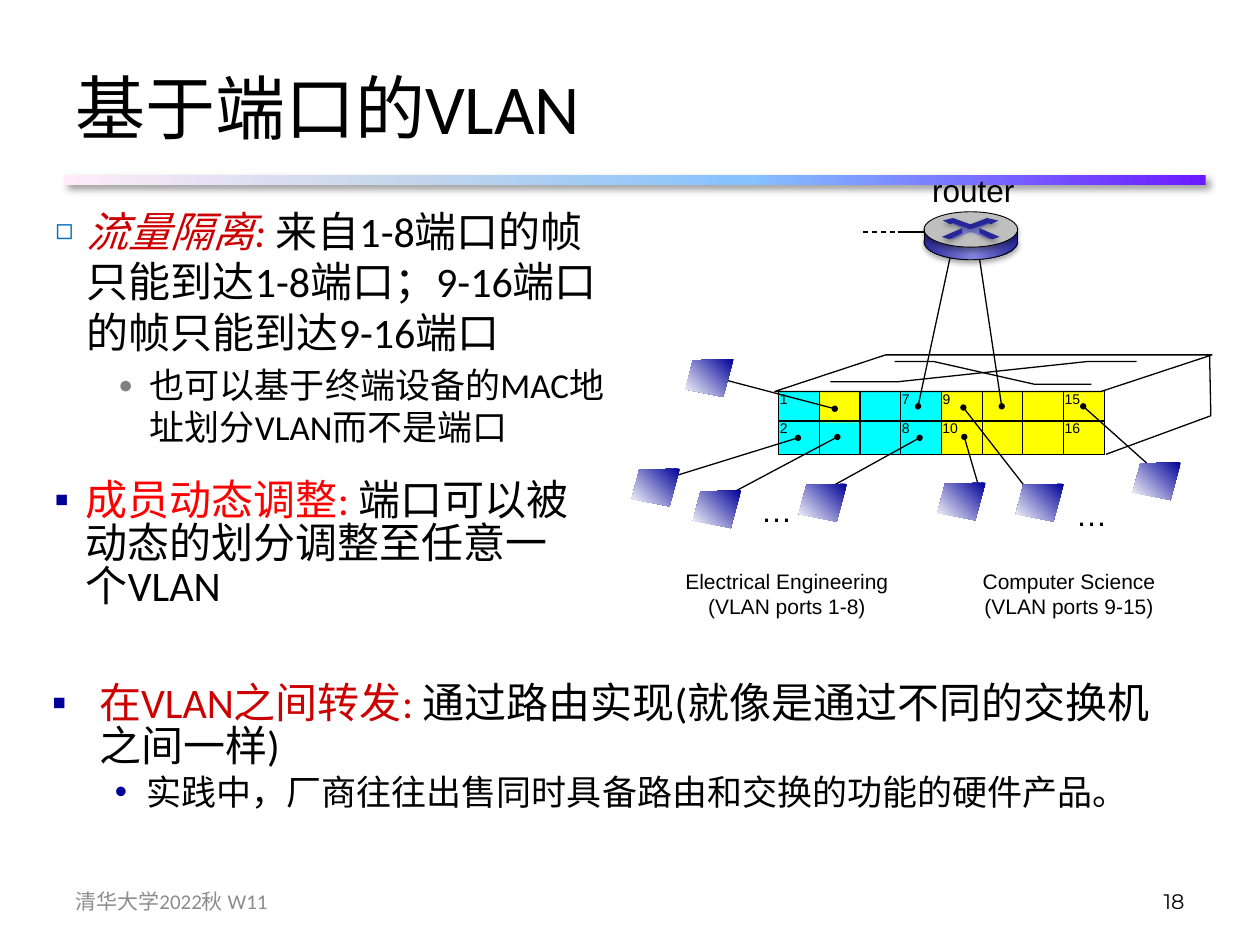
from lxml import etree
from pptx import Presentation
from pptx.dml.color import RGBColor
from pptx.enum import dml, shapes, text
from pptx.oxml import ns
from pptx.util import Pt

BLACK, CYAN, YELLOW, NAVY = "000000", "00FFFF", "FFFF00", "262699"
COLUMN, ROW = 23.25, 18.2  # size of one switch port


def color(hex_value):
    return RGBColor.from_string(hex_value)


def sub(parent, tag, **attributes):
    return etree.SubElement(parent, ns.qn(tag), {k: str(v) for k, v in attributes.items()})


def set_gradient(shape, stops, angle):
    """Stops are (percent, colour); the angle runs clockwise in degrees."""
    shape.fill.gradient()
    gradient = shape.fill._fill._gradFill
    for child in list(gradient):
        gradient.remove(child)
    stop_list = sub(gradient, "a:gsLst")
    for position, hex_value in stops:
        sub(sub(stop_list, "a:gs", pos=position * 1000), "a:srgbClr", val=hex_value)
    sub(gradient, "a:lin", ang=angle * 60000, scaled=0)


def add_shadow(shape, alpha, blur, distance, angle):
    shape.shadow.inherit = False
    effects = shape._element.spPr.find(ns.qn("a:effectLst"))
    outer = sub(effects, "a:outerShdw", blurRad=Pt(blur), dist=Pt(distance),
                dir=angle * 60000, algn="ctr", rotWithShape=0)
    sub(sub(outer, "a:srgbClr", val=BLACK), "a:alpha", val=alpha * 1000)


def style(shape, fill=None, line=None):
    """Fill is a colour, a (stops, angle) pair or None; line is a width or None."""
    shape.shadow.inherit = False
    if isinstance(fill, tuple):
        set_gradient(shape, *fill)
    elif fill:
        shape.fill.solid()
        shape.fill.fore_color.rgb = color(fill)
    else:
        shape.fill.background()
    if line:
        shape.line.color.rgb = color(BLACK)
        shape.line.width = Pt(line)
    else:
        shape.line.fill.background()
    return shape


def add_shape(slide, kind, box, fill=None, line=None):
    shape = slide.shapes.add_shape(getattr(shapes.MSO_SHAPE, kind), *map(Pt, box))
    return style(shape, fill, line)


def add_outline(slide, left, top, points, fill=None, line=None):
    corners = [(Pt(left + x), Pt(top + y)) for x, y in points]
    builder = slide.shapes.build_freeform(*corners[0], scale=1.0)
    builder.add_line_segments(corners[1:], close=bool(fill))
    return style(builder.convert_to_shape(), fill, line)


def add_line(slide, x1, y1, x2, y2, width=0.75, dashed=False):
    line = slide.shapes.add_connector(shapes.MSO_CONNECTOR.STRAIGHT, *map(Pt, (x1, y1, x2, y2)))
    line.line.color.rgb = color(BLACK)
    line.line.width = Pt(width)
    if dashed:
        line.line.dash_style = dml.MSO_LINE.DASH
    sub(line._element.spPr, "a:effectLst")


def add_bullet(paragraph, char, hex_value, left, hanging, size=100):
    properties = paragraph._p.get_or_add_pPr()
    properties.set("marL", str(Pt(left)))
    properties.set("indent", str(-Pt(hanging)))
    sub(sub(properties, "a:buClr"), "a:srgbClr", val=hex_value)
    sub(properties, "a:buSzPct", val=size * 1000)
    sub(properties, "a:buFont", typeface="Arial")
    sub(properties, "a:buChar", char=char)


def add_text(slide, box, paragraphs, size=12, font="Arial", hex_value=BLACK, align="LEFT",
             anchor="TOP", wrap=True, spacing=None, bullets=(), sizes=(), lead=None, italic=False):
    """Lead is the colour of the first run of the first paragraph, italic its slant."""
    frame = slide.shapes.add_textbox(*map(Pt, box)).text_frame
    frame.word_wrap = wrap
    frame.vertical_anchor = getattr(text.MSO_ANCHOR, anchor)
    for i, runs in enumerate(paragraphs):
        paragraph = frame.add_paragraph() if i else frame.paragraphs[0]
        if bullets:
            add_bullet(paragraph, *bullets[i])
            paragraph.space_before = Pt(4 if i else 0)
        if spacing:
            paragraph.line_spacing = spacing
        paragraph.alignment = getattr(text.PP_ALIGN, align)
        for j, words in enumerate([runs] if isinstance(runs, str) else runs):
            run = paragraph.add_run()
            run.text = words
            is_lead = bool(lead) and i == j == 0
            run.font.name = font
            run.font.size = Pt(sizes[i] if sizes else size)
            run.font.color.rgb = color(lead if is_lead else hex_value)
            run.font.italic = italic and is_lead


def draw_header(slide, left, top):
    bar = add_shape(slide, "RECTANGLE", (left + 0.7, top + 78.4, 652.3, 5.8),
                    ([(0, "6B19FF"), (40, "85C2FF"), (70, "C4D6EB"), (100, "FFEBFA")], 180))
    add_shadow(bar, 40, 4, 3, 45)
    add_text(slide, (left, top, 648, 78.5), ["基于端口的VLAN"], size=40, font="Calibri", anchor="MIDDLE")


def draw_points(slide, left, top):
    add_text(slide, (left + 2, top, 334.8, 139),
             [["流量隔离: ", "来自1-8端口的帧只能到达1-8端口；9-16端口的帧只能到达9-16端口"],
              "也可以基于终端设备的MAC地址划分VLAN而不是端口"],
             font="Calibri", sizes=(24, 20), lead="CC0000", italic=True,
             bullets=[("◻", "0070C0", 18, 18, 70), ("●", "808080", 54, 18, 70)])
    add_text(slide, (left + 1.5, top + 157.7, 319.7, 126.7),
             [["成员动态调整: ", "端口可以被动态的划分调整至任意一个VLAN"]],
             font="Calibri", size=24, lead="FF0000", spacing=0.85,
             bullets=[("▪", "000099", 18, 18)])
    add_text(slide, (left, top + 273.6, 654.5, 126.7),
             [["在VLAN之间转发: ", "通过路由实现(就像是通过不同的交换机之间一样)"],
              "实践中，厂商往往出售同时具备路由和交换的功能的硬件产品。"],
             font="Calibri", sizes=(24, 20), lead="CC0000", spacing=0.85,
             bullets=[("▪", "000099", 27, 27), ("•", "000099", 54, 18)])


def draw_router(slide, left, top):
    width, height = 53.5, 20.2
    metal = [(0, NAVY), (53, "8585E0"), (100, NAVY)]
    add_line(slide, left - 15, top + 11.5, left + 5, top + 11.5)
    add_line(slide, left - 35, top + 11.5, left - 15, top + 11.5, dashed=True)
    base = add_shape(slide, "OVAL", (left, top + 7.2, width, height), (metal, 0), 0.5)
    add_shape(slide, "RECTANGLE", (left, top + 10, width, 7.2), (metal, 180))
    lid = add_shape(slide, "OVAL", (left, top, width, height), "BFBFBF", 0.5)
    cross = [(26.6, 11.5), (16.6, 15.8), (13.7, 15.1), (21.6, 12.2), (21.6, 9.4), (15.1, 6.5),
             (17.3, 6.5), (26.6, 10.1), (36, 5.8), (38.2, 6.5), (31.7, 9.4), (33.1, 13),
             (39.6, 15.1), (37.4, 15.8)]
    add_outline(slide, left, top, cross, "8585E0")
    chevron = [(10.8, 5), (16.6, 3.6), (26.6, 7.2), (36, 3.6), (42.5, 5), (38.2, 7.2),
               (36.7, 6.5), (26.6, 10.1), (16.6, 6.5), (15.1, 7.2)]
    right_arm = [(31.7, 9.4), (43.2, 14.4), (38.9, 15.8), (31.7, 12.2)]
    left_arm = [(width - x, y) for x, y in right_arm]
    arrows = [add_outline(slide, left, top, points, NAVY) for points in (chevron, right_arm, left_arm)]
    for part in (base, lid, *arrows):
        add_shadow(part, 35, 3.1, 1.8, 90)
    for x in (left, left + width):
        add_line(slide, x, top + 10, x, top + 17.5, 0.5)


def draw_switch(slide, left, top):
    width, height = 8 * COLUMN, 2 * ROW
    for x, y, columns, rows, fill in ((0, 0, 4, 2, CYAN), (4, 0, 4, 2, YELLOW), (1, 0, 1, 1, YELLOW)):
        add_shape(slide, "RECTANGLE", (left + x * COLUMN, top + y * ROW, columns * COLUMN, rows * ROW), fill)
    add_shape(slide, "RECTANGLE", (left, top, width, height), line=0.75)
    add_line(slide, left, top + ROW - 0.8, left + width, top + ROW - 0.8)
    for column in range(1, 8):
        x = left + column * COLUMN
        add_line(slide, x, top, x, top + height)
    lid = add_shape(slide, "PARALLELOGRAM", (left - 2.2, top - 20.4, 249.8, 20.9), "FFFFFF", 0.75)
    lid.adjustments[0] = 3.03
    side = [(width + 1, height), (246.9, 14.4), (246.2, -20.2)]
    rising = [(29.5, -5), (67.7, -5), (176.4, -16.6), (204.5, -16.6)]
    falling = [(66.2, -16.6), (88.6, -16.6), (146.2, -3.6), (178.6, -3.6)]
    for points in (side, rising, falling):
        add_outline(slide, left, top, points, line=0.75)
    for column, numbers in ((0, "1 2"), (3, "7 8"), (4, "9 10"), (7, "15 16")):
        for row, number in enumerate(numbers.split()):
            add_text(slide, (left + column * COLUMN - 6.5, top - 3.5 + row * 16.7,
                             14.4 + 4.5 * len(number), 16.6), [number], size=8, wrap=False)


def draw_port_dot(slide, x, y):
    add_shape(slide, "OVAL", (x - 1.8, y - 1.8, 3.6, 3.6), BLACK)


def draw_hosts(slide, left, top):
    """Links hosts to switch ports; left and top are the corner of the switch front."""
    screen = [(27.5, 0), (4.3, 0.7), (0, 17.3), (21.6, 21.6)]
    shade = ([(0, "000099"), (100, "FFFFFF")], 135)
    # port, host corner, end of the link inside the host
    links = [((11, 27), (-84, 44.6), (24, 4.4)), ((33.5, 26.5), (-49, 57), (19.5, 3)),
             ((80.5, 27), (11.5, 53.3), (16, 3)), ((106, 26.5), (90.7, 52.6), (24, 3.6)),
             ((105.5, 9.7), (135.4, 53.3), (8, 5)), ((174, 9), (202.3, 41), (11.5, 3.6)),
             ((32, 10.4), (-53.3, -18), (23, 12))]
    for (port_x, port_y), (host_x, host_y), (end_x, end_y) in links:
        x, y = left + host_x, top + host_y
        add_line(slide, left + port_x, top + port_y, x + end_x, y + end_y)
        draw_port_dot(slide, left + port_x, top + port_y)
        add_outline(slide, x, y, screen, shade)
    for x, y in ((-17.3, 54), (162.7, 56.2)):
        add_text(slide, (left + x, top + y, 32.4, 28.8), ["…"], size=18, wrap=False)


def draw_network(slide, left, top):
    router_x, router_y = left + 168, top + 27
    switch_x, switch_y = left + 85, top + 129.2
    draw_switch(slide, switch_x, switch_y)
    for port_x, router_end in ((79.6, 15.8), (127.4, 31)):
        add_line(slide, switch_x + port_x, switch_y + 9, router_x + router_end, router_y + 22)
        draw_port_dot(slide, switch_x + port_x, switch_y + 9)
    draw_hosts(slide, switch_x, switch_y)
    draw_router(slide, router_x, router_y)
    add_text(slide, (left + 165.6, top, 62, 28.8), ["router"], size=18, wrap=False)
    for x, width, department, ports in ((24.5, 130.3, "Electrical Engineering", "1-8"),
                                        (194.4, 113, "Computer Science", "9-15")):
        add_text(slide, (left + x, top + 227.5, width, 36), [department, f"(VLAN ports {ports})"],
                 align="CENTER")


def draw_footer(slide, left, top):
    add_text(slide, (left, top, 168, 28.8), ["清华大学2022秋 W11"], font="Calibri",
             hex_value="8C8C8C", anchor="MIDDLE")
    add_text(slide, (left + 480, top, 168, 28.8), ["18"], font="Montserrat", align="RIGHT", anchor="MIDDLE")


def main():
    deck = Presentation()
    deck.slide_width, deck.slide_height = Pt(720), Pt(540)
    slide = deck.slides.add_slide(deck.slide_layouts[6])
    draw_header(slide, 36, 21.6)
    draw_network(slide, 360, 94)
    draw_points(slide, 22.5, 113.8)
    draw_footer(slide, 36, 500.4)
    deck.save("out.pptx")


if __name__ == "__main__":
    main()
